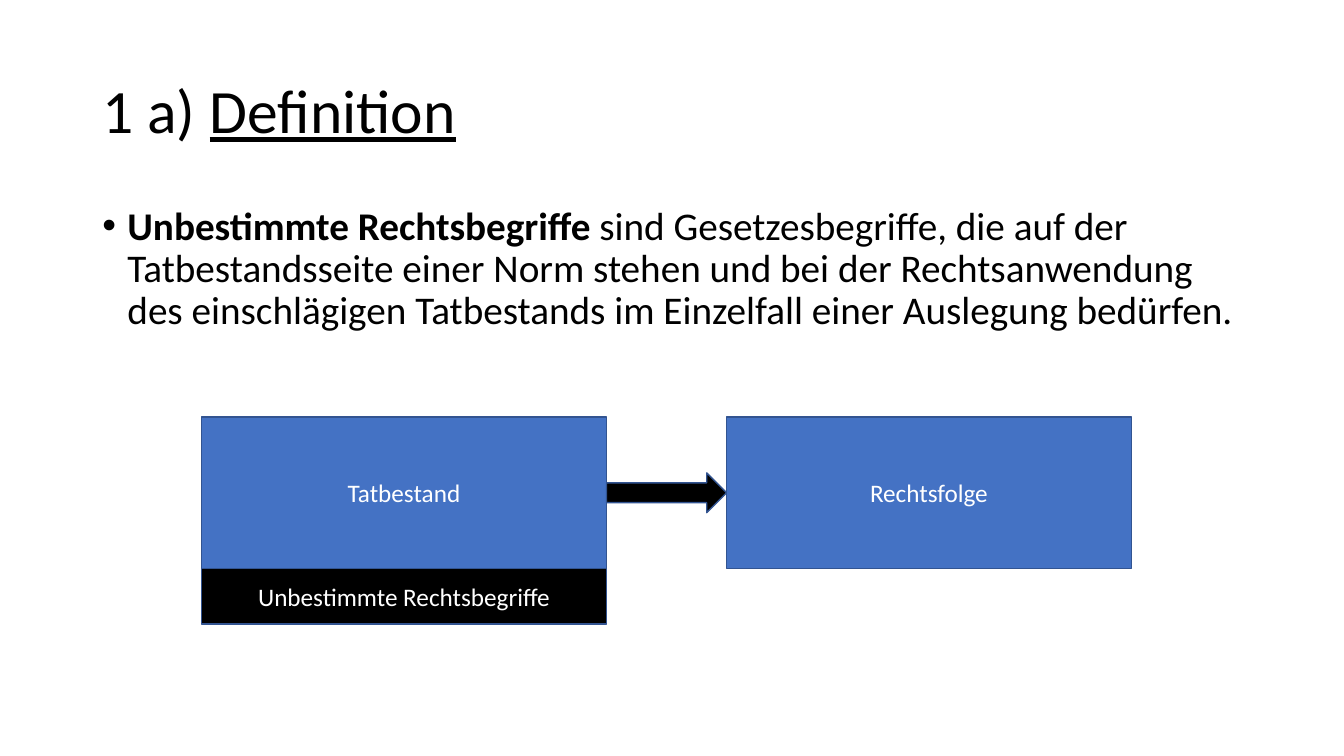
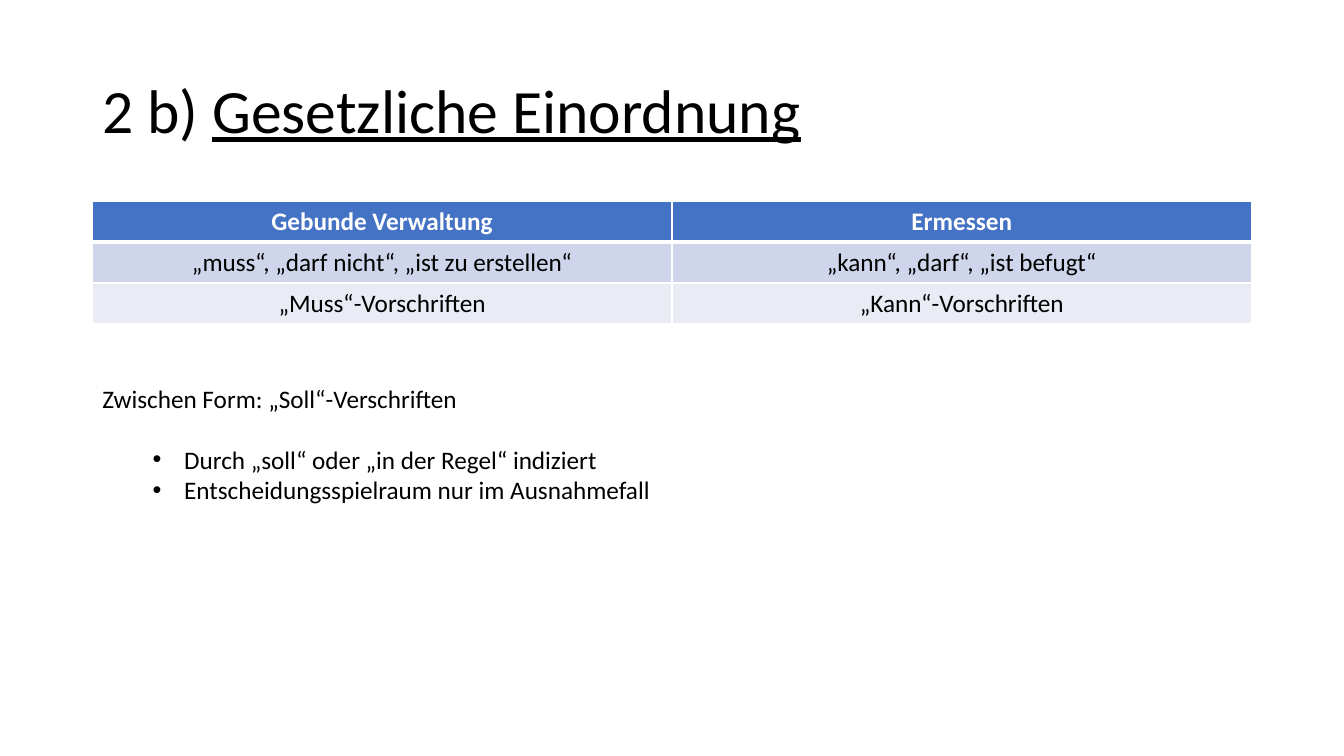
from collections import namedtuple

from lxml.etree import SubElement
from pptx import Presentation
from pptx.dml.color import RGBColor
from pptx.enum.shapes import MSO_SHAPE
from pptx.enum.text import MSO_ANCHOR, PP_ALIGN
from pptx.oxml.ns import qn
from pptx.util import Pt

BLACK = RGBColor(0x00, 0x00, 0x00)
WHITE = RGBColor(0xFF, 0xFF, 0xFF)
BLUE = RGBColor(0x44, 0x72, 0xC4)
OUTLINE = RGBColor(0x32, 0x54, 0x91)
BAND_DARK = RGBColor(0xCF, 0xD5, 0xEA)
BAND_LIGHT = RGBColor(0xE9, 0xEB, 0xF5)
FONT = "Calibri"
TITLE_SIZE, BODY_SIZE, SMALL_SIZE = 44, 28, 18

Box = namedtuple("Box", "left top width height")
TITLE_BOX = Box(66, 28.75, 828, 104.4)
BODY_BOX = Box(66, 143.75, 828, 342.6)
DIAGRAM_BOX = Box(144, 298, 664.2, 147.6)
TABLE_BOX = Box(66, 143.75, 828, 87.6)
NOTES_BOX = Box(66, 270, 828, 94.5)


def points(box):
    return [Pt(length) for length in box]


def style_run(run, size, color=BLACK, bold=False, underline=False):
    font = run.font
    font.name = FONT
    font.size = Pt(size)
    font.color.rgb = color
    font.bold = bold
    font.underline = underline


def add_run(paragraph, text, size, **style):
    run = paragraph.add_run()
    run.text = text
    style_run(run, size, **style)


def add_text_frame(slide, box, anchor=MSO_ANCHOR.TOP):
    text_frame = slide.shapes.add_textbox(*points(box)).text_frame
    text_frame.word_wrap = True
    text_frame.vertical_anchor = anchor
    return text_frame


def set_bullet(paragraph, margin, hanging):
    properties = paragraph._p.get_or_add_pPr()
    properties.set("marL", str(Pt(margin)))
    properties.set("indent", str(-Pt(hanging)))
    SubElement(properties, qn("a:buFont"), typeface="Arial")
    SubElement(properties, qn("a:buChar"), char="•")


def add_title(slide, number, heading, box=TITLE_BOX):
    paragraph = add_text_frame(slide, box, MSO_ANCHOR.MIDDLE).paragraphs[0]
    paragraph.line_spacing = 0.9
    add_run(paragraph, number + " ", TITLE_SIZE)
    add_run(paragraph, heading, TITLE_SIZE, underline=True)


def add_definition(slide, box, term, explanation):
    paragraph = add_text_frame(slide, box).paragraphs[0]
    paragraph.line_spacing = 0.9
    paragraph.space_before = Pt(10)
    set_bullet(paragraph, 18, 18)
    add_run(paragraph, term + " ", BODY_SIZE, bold=True)
    add_run(paragraph, explanation, BODY_SIZE)


def add_block(slide, preset, box, fill, label=""):
    shape = slide.shapes.add_shape(preset, *points(box))
    shape.shadow.inherit = False
    shape.fill.solid()
    shape.fill.fore_color.rgb = fill
    shape.line.color.rgb = OUTLINE
    shape.line.width = Pt(1)
    if label:
        shape.text_frame.word_wrap = True
        shape.text_frame.vertical_anchor = MSO_ANCHOR.MIDDLE
        paragraph = shape.text_frame.paragraphs[0]
        paragraph.alignment = PP_ALIGN.CENTER
        add_run(paragraph, label, SMALL_SIZE, color=WHITE)


def add_norm_diagram(slide, box, condition, consequence, detail):
    gap, detail_height, arrow_height = 85.8, 39.6, 28.4
    width = (box.width - gap) / 2
    height = box.height - detail_height
    arrow_top = box.top + (height - arrow_height) / 2
    condition_box = Box(box.left, box.top, width, height)
    arrow_box = Box(box.left + width, arrow_top, gap, arrow_height)
    consequence_box = Box(box.left + width + gap, box.top, width, height)
    detail_box = Box(box.left, box.top + height, width, detail_height)
    add_block(slide, MSO_SHAPE.RECTANGLE, condition_box, BLUE, condition)
    add_block(slide, MSO_SHAPE.RIGHT_ARROW, arrow_box, BLACK)
    add_block(slide, MSO_SHAPE.RECTANGLE, consequence_box, BLUE, consequence)
    add_block(slide, MSO_SHAPE.RECTANGLE, detail_box, BLACK, detail)


def set_borders(cell, top, bottom):
    properties = cell._tc.get_or_add_tcPr()
    for side, width in (("L", 1), ("R", 1), ("T", top), ("B", bottom)):
        line = SubElement(properties, qn("a:ln" + side), w=str(Pt(width)))
        fill = SubElement(line, qn("a:solidFill"))
        SubElement(fill, qn("a:srgbClr"), val=str(WHITE))


def add_comparison_table(slide, box, rows):
    frame = slide.shapes.add_table(len(rows), len(rows[0]), *points(box))
    table = frame.table
    for row_index, texts in enumerate(rows):
        header = row_index == 0
        band = BAND_DARK if row_index % 2 else BAND_LIGHT
        for column_index, text in enumerate(texts):
            cell = table.cell(row_index, column_index)
            set_borders(cell, 3 if row_index == 1 else 1, 3 if header else 1)
            cell.fill.solid()
            cell.fill.fore_color.rgb = BLUE if header else band
            cell.text_frame.text = text
            paragraph = cell.text_frame.paragraphs[0]
            paragraph.alignment = PP_ALIGN.CENTER
            style_run(paragraph.runs[0], SMALL_SIZE,
                      color=WHITE if header else BLACK, bold=header)


def add_notes_list(slide, box, heading, items):
    text_frame = add_text_frame(slide, box)
    paragraph = text_frame.paragraphs[0]
    paragraph.space_after = Pt(22)
    add_run(paragraph, heading, SMALL_SIZE)
    for item in items:
        paragraph = text_frame.add_paragraph()
        paragraph.level = 1
        set_bullet(paragraph, 58.5, 22.5)
        add_run(paragraph, item, SMALL_SIZE)


def build_definition_slide(slide):
    add_title(slide, "1 a)", "Definition")
    add_definition(
        slide, BODY_BOX, "Unbestimmte Rechtsbegriffe",
        "sind Gesetzesbegriffe, die auf der Tatbestandsseite einer Norm "
        "stehen und bei der Rechtsanwendung des einschlägigen Tatbestands "
        "im Einzelfall einer Auslegung bedürfen.")
    add_norm_diagram(slide, DIAGRAM_BOX, "Tatbestand", "Rechtsfolge",
                     "Unbestimmte Rechtsbegriffe")


def build_classification_slide(slide):
    add_title(slide, "2 b)", "Gesetzliche Einordnung")
    add_comparison_table(slide, TABLE_BOX, [
        ("Gebunde Verwaltung", "Ermessen"),
        ("„muss“, „darf nicht“, „ist zu erstellen“",
         "„kann“, „darf“, „ist befugt“"),
        ("„Muss“-Vorschriften", "„Kann“-Vorschriften"),
    ])
    add_notes_list(slide, NOTES_BOX, "Zwischen Form: „Soll“-Verschriften", [
        "Durch „soll“ oder „in der Regel“ indiziert",
        "Entscheidungsspielraum nur im Ausnahmefall",
    ])


presentation = Presentation()
presentation.slide_width = Pt(960)
presentation.slide_height = Pt(540)
for build_slide in (build_definition_slide, build_classification_slide):
    build_slide(presentation.slides.add_slide(presentation.slide_layouts[6]))
presentation.save("out.pptx")
